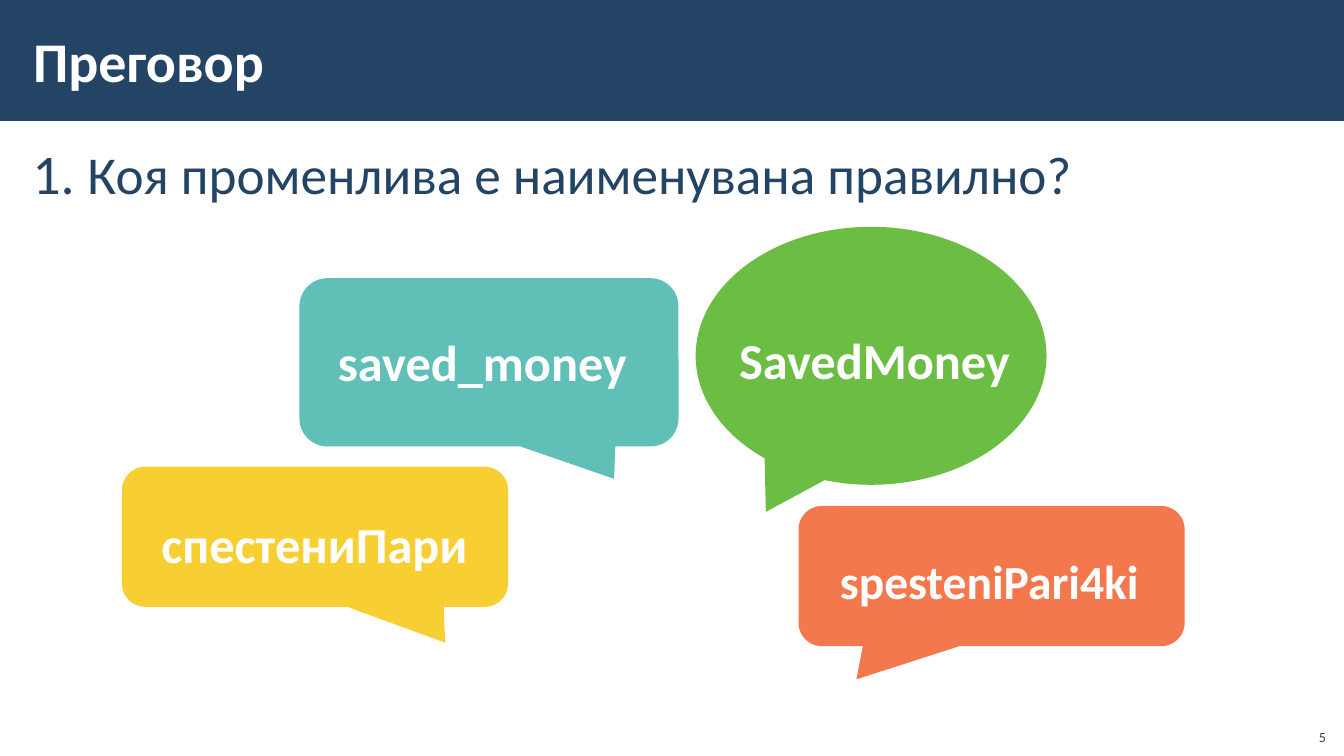
"""Build a quiz slide with four speech bubbles naming a variable."""
from lxml.etree import SubElement
from pptx import Presentation
from pptx.dml.color import RGBColor
from pptx.enum.shapes import MSO_SHAPE as Shape
from pptx.enum.text import MSO_ANCHOR as Anchor, PP_ALIGN as Align
from pptx.oxml.ns import qn
from pptx.util import Pt

PX = 9144
THEME = {
    "font": "Calibri",
    "navy": "234465", "white": "FFFFFF", "green": "6CBD44",
    "yellow": "F5C300", "orange": "F15721", "teal": "60BFB7",
    "heading": 40, "question": 38, "answer": 36, "long_answer": 34, "page": 10,
}
LEFT, CENTER, RIGHT = Align.LEFT, Align.CENTER, Align.RIGHT


def add_block(shapes, kind, box, color, adjustments=(), opacity=100):
    block = shapes.add_shape(kind, *(n * PX for n in box))
    block.shadow.inherit = False
    block.fill.solid()
    block.fill.fore_color.rgb = RGBColor.from_string(THEME[color])
    block.line.fill.background()
    for index, value in enumerate(adjustments):
        block.adjustments[index] = value
    if opacity < 100:
        tint = block.fill._xPr.find(qn("a:solidFill"))[0]
        SubElement(tint, qn("a:alpha"), val=str(opacity * 1000))


def add_text(shapes, box, runs, color, bold=False, insets=(12, 4),
             anchor=Anchor.TOP, indent=0, **paragraph_format):
    frame = shapes.add_textbox(*(n * PX for n in box)).text_frame
    side, top = (n * PX for n in insets)
    frame_format = {
        "word_wrap": True, "vertical_anchor": anchor,
        "margin_left": side, "margin_right": side,
        "margin_top": top, "margin_bottom": top,
    }
    for name, value in frame_format.items():
        setattr(frame, name, value)
    paragraph = frame.paragraphs[0]
    for name, value in paragraph_format.items():
        setattr(paragraph, name, value)
    if indent:
        paragraph._p.get_or_add_pPr().set("marL", str(indent * PX))
    for words, size in runs:
        run = paragraph.add_run()
        run.text = words
        font_format = {"name": THEME["font"], "size": Pt(THEME[size]), "bold": bold}
        for name, value in font_format.items():
            setattr(run.font, name, value)
        run.font.color.rgb = RGBColor.from_string(THEME[color])


deck = Presentation()
deck.slide_width, deck.slide_height = 1333 * PX, 750 * PX
slide = deck.slides.add_slide(deck.slide_layouts[6])

add_block(slide.shapes, Shape.RECTANGLE, (0, 0, 1334, 120), "navy")
add_text(slide.shapes, (20, 130, 1291, 567),
         [("1. ", "heading"), ("Коя променлива е наименувана правилно?", "question")],
         "navy", line_spacing=1.05, space_before=Pt(6), space_after=Pt(6))
add_text(slide.shapes, (21, 11, 1063, 97), [("Преговор", "heading")],
         "white", bold=True, anchor=Anchor.MIDDLE)

ROUNDED, OVAL = Shape.ROUNDED_RECTANGULAR_CALLOUT, Shape.OVAL_CALLOUT
answers = [
    ("SavedMoney", "answer", OVAL, (690, 225, 348, 256), "green",
     (-0.3, 0.605), 100, (667, 315, 372, 84), LEFT, 50, 1.0),
    ("спестениПари", "answer", ROUNDED, (121, 463, 383, 139), "yellow",
     (0.337, 0.756, 0.167), 80, (108, 491, 408, 87), CENTER, 0, 1.1),
    ("spesteniPari4ki", "long_answer", ROUNDED, (792, 502, 383, 139), "orange",
     (-0.35, 0.737, 0.167), 80, (817, 530, 344, 84), LEFT, 0, 1.1),
    ("saved_money", "answer", ROUNDED, (297, 276, 376, 167), "teal",
     (0.33, 0.692, 0.167), 100, (300, 311, 357, 87), CENTER, 0, 1.1),
]
for (answer, size, outline, bubble_box, color, pointer, opacity,
     answer_box, align, indent, spacing) in answers:
    bubble = slide.shapes.add_group_shape().shapes
    add_block(bubble, outline, bubble_box, color, pointer, opacity)
    add_text(bubble, answer_box, [(answer, size)], "white", bold=True,
             insets=(16, 12), indent=indent, alignment=align, line_spacing=spacing)

add_text(slide.shapes, (1285, 712, 40, 32), [("5", "page")], "navy",
         insets=(10, 5), anchor=Anchor.BOTTOM, alignment=RIGHT)

deck.save("out.pptx")
